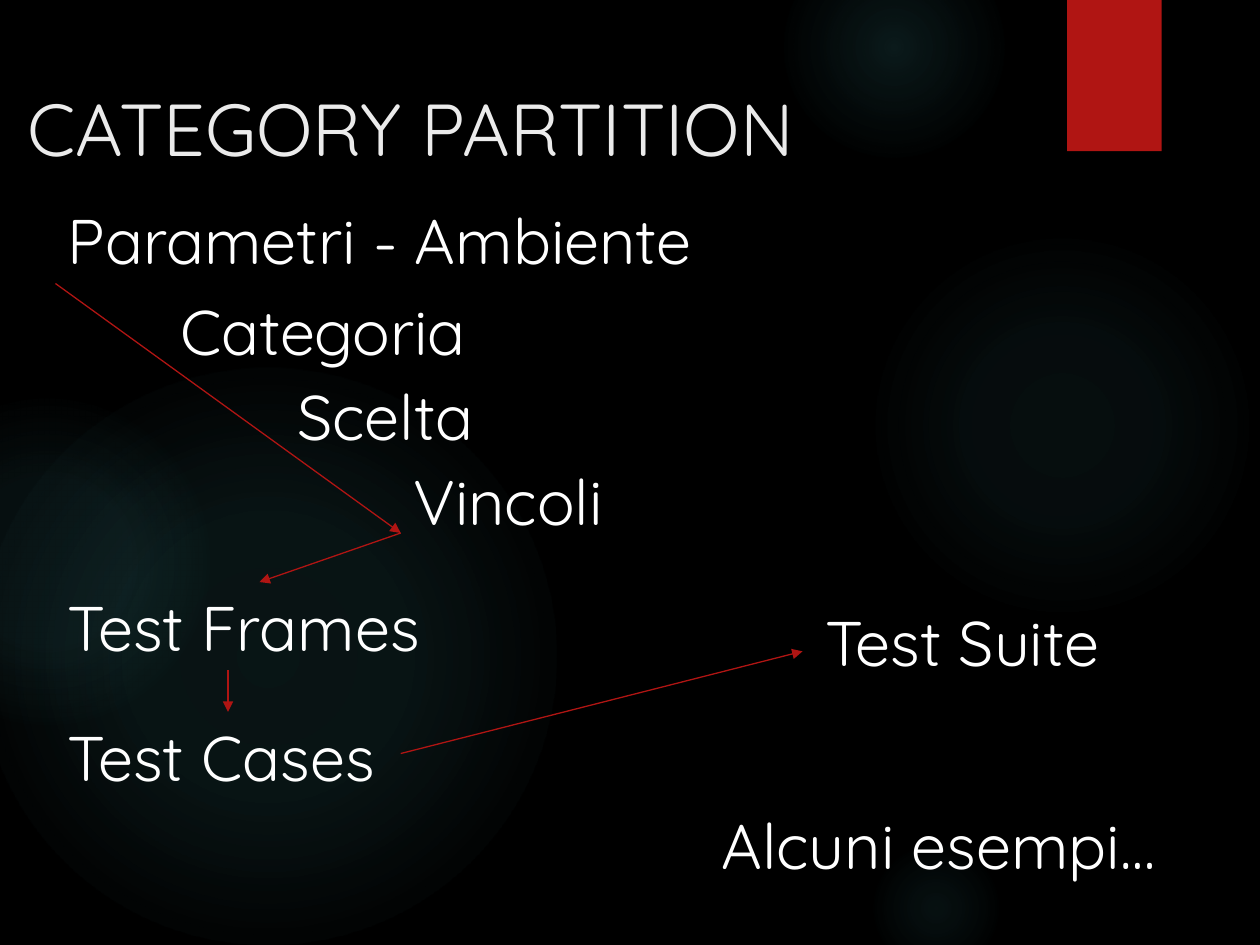
from lxml import etree
from pptx import Presentation
from pptx.dml.color import RGBColor
from pptx.enum.shapes import MSO_CONNECTOR, MSO_SHAPE
from pptx.enum.text import MSO_ANCHOR, PP_ALIGN
from pptx.oxml import parse_xml
from pptx.oxml.ns import nsdecls, qn
from pptx.util import Pt

OVAL, RECT = MSO_SHAPE.OVAL, MSO_SHAPE.RECTANGLE
LINE = MSO_CONNECTOR.STRAIGHT
TOP, LEFT = MSO_ANCHOR.TOP, PP_ALIGN.LEFT
FONT = "Quicksand"
HUE = {"back": "000000", "glow": "50B9C1", "red": "B01513",
       "title": "EBEBEB", "text": "FFFFFF"}
WIDE, HIGH = 702, 100.8  # every text box

# Glows: left, top, size, then (position, opacity) stops in percent
GLOWS = [
    (496, 132, 222, [(0, 7), (36, 6), (69, 0)]),
    (448, -36, 126, [(0, 14), (36, 7), (73, 0)]),
    (496, 480, 78, [(0, 9), (36, 5), (66, 0)]),
    (-12, 210, 330, [(0, 11), (36, 10), (75, 0)]),
    (-66, 228, 186, [(0, 8), (36, 8), (72, 0)]),
]
# Places are relative to the corner of the diagram
TERMS = [
    ("Test Cases", 0, 295.2),
    ("Categoria", 64.1, 51.8),
    ("Scelta", 131, 100.8),
    ("Vincoli", 197.3, 149),
    ("Test Frames", 0, 221),
    ("Parametri - Ambiente", 0, 0),
    ("Test Suite", 432.7, 229.7),
]
ARROWS = [
    (0, 50.4, 197.3, 193),
    (197.3, 193, 116.6, 221),
    (98.6, 271.4, 98.6, 295.2),
    (197.3, 319, 426.9, 260.6),
]


def rgb(name):
    return RGBColor.from_string(HUE[name])


def add_shape(slide, kind, x, y, w, h):
    shape = slide.shapes.add_shape(kind, Pt(x), Pt(y), Pt(w), Pt(h))
    shape.shadow.inherit = False
    shape.line.fill.background()
    return shape


def add_glow(slide, x, y, size, stops):
    glow = add_shape(slide, OVAL, x, y, size, size)
    glow.fill.background()
    marks = "".join(
        f'<a:gs pos="{pos * 1000}"><a:srgbClr val="{HUE["glow"]}">'
        f'<a:alpha val="{alpha * 1000}"/></a:srgbClr></a:gs>'
        for pos, alpha in stops)
    grad = parse_xml(
        f'<a:gradFill {nsdecls("a")} rotWithShape="1"><a:gsLst>{marks}</a:gsLst>'
        '<a:path path="circle"><a:fillToRect l="50000" t="50000" '
        'r="50000" b="50000"/></a:path></a:gradFill>')
    props = glow.element.spPr
    props.replace(props.find(qn("a:noFill")), grad)


def add_tab(slide, x, y, w, h):
    tab = add_shape(slide, RECT, x, y, w, h)
    tab.fill.solid()
    tab.fill.fore_color.rgb = rgb("red")
    tab.element.spPr.find(qn("a:effectLst")).append(parse_xml(
        f'<a:outerShdw {nsdecls("a")} blurRad="{Pt(3)}" dist="{Pt(2)}" '
        'dir="5400000" rotWithShape="0"><a:srgbClr val="000000">'
        '<a:alpha val="45000"/></a:srgbClr></a:outerShdw>'))


def add_text(slide, text, x, y, size=36, hue="text"):
    frame = slide.shapes.add_textbox(Pt(x), Pt(y), Pt(WIDE), Pt(HIGH)).text_frame
    frame.word_wrap = True
    frame.vertical_anchor = TOP
    frame.text = text
    para = frame.paragraphs[0]
    para.alignment = LEFT
    font = para.runs[0].font
    font.name, font.size = FONT, Pt(size)
    font.color.rgb = rgb(hue)


def add_arrow(slide, x1, y1, x2, y2):
    arrow = slide.shapes.add_connector(LINE, Pt(x1), Pt(y1), Pt(x2), Pt(y2))
    arrow.line.color.rgb = rgb("red")
    arrow.line.width = Pt(0.75)
    props = arrow.element.spPr
    etree.SubElement(props.find(qn("a:ln")), qn("a:tailEnd"), type="triangle")
    etree.SubElement(props, qn("a:effectLst"))


def add_flow(slide, x, y):
    for text, dx, dy in TERMS:
        add_text(slide, text, x + dx, y + dy)
    for x1, y1, x2, y2 in ARROWS:
        add_arrow(slide, x + x1, y + y1, x + x2, y + y2)


def main():
    deck = Presentation()
    deck.slide_width, deck.slide_height = Pt(720), Pt(540)
    slide = deck.slides.add_slide(deck.slide_layouts[6])

    # Backdrop
    slide.background.fill.solid()
    slide.background.fill.fore_color.rgb = rgb("back")
    for glow in GLOWS:
        add_glow(slide, *glow)
    add_tab(slide, 609.8, 0, 54, 86.4)

    # Title, diagram and closing line
    add_text(slide, "CATEGORY PARTITION", 8.6, 43.9, 42, "title")
    add_flow(slide, 31.7, 111.6)
    add_text(slide, "Alcuni esempi…", 405.4, 457.2)
    deck.save("out.pptx")


if __name__ == "__main__":
    main()
